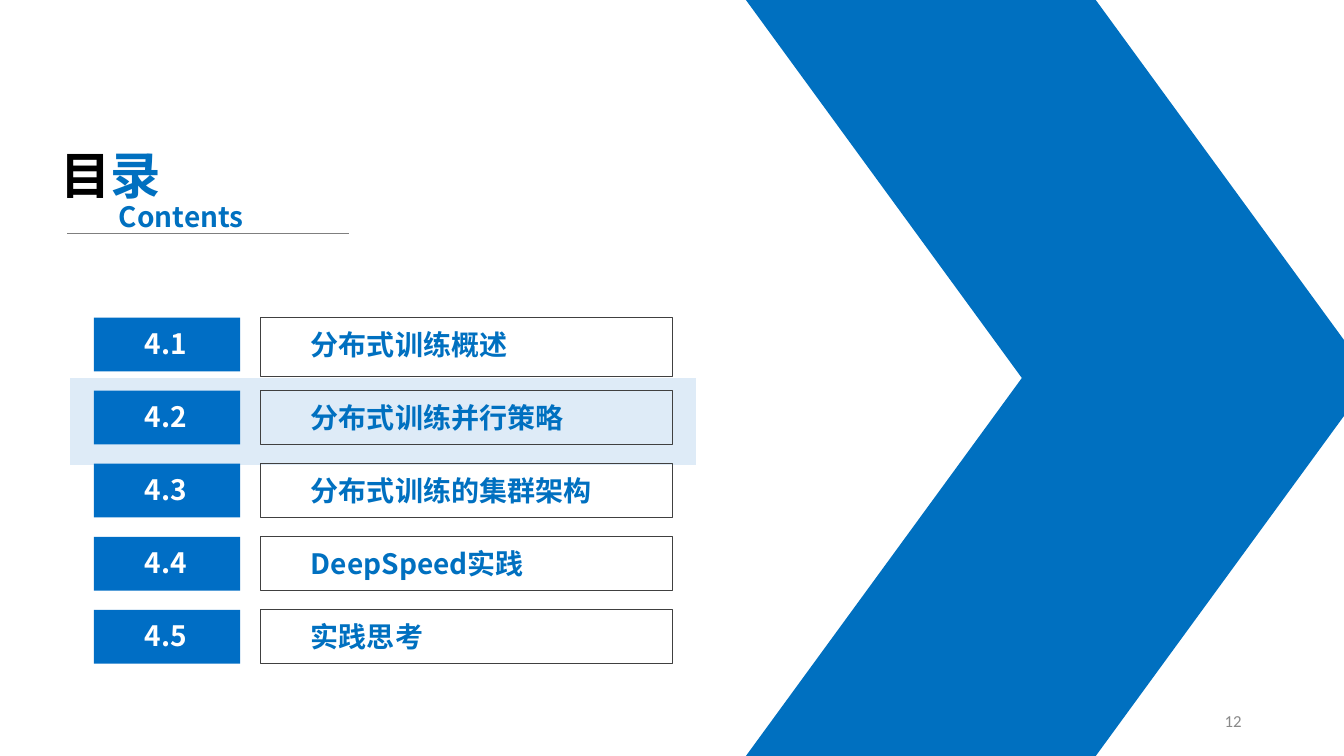
"""Build the contents slide of chapter 4, with section 4.2 highlighted."""
from pptx import Presentation
from pptx.dml.color import RGBColor
from pptx.enum import shapes, text
from pptx.oxml import ns, xmlchemy
from pptx.util import Pt

COLORS = {"blue": "0070C0", "badge": "006EC5", "highlight": "DEEBF7", "frame": "404040",
          "rule": "7F7F7F", "number": "898989", "black": "000000", "white": "FFFFFF"}
FONT = "Noto Sans CJK SC"
SECTIONS = ["分布式训练概述", "分布式训练并行策略", "分布式训练的集群架构", "DeepSpeed实践", "实践思考"]

presentation = Presentation()
presentation.slide_width, presentation.slide_height = Pt(960), Pt(540)
slide = presentation.slides.add_slide(presentation.slide_layouts[5])


def add_block(kind, left, top, width, height, fill=None, line=None):
    block = slide.shapes.add_shape(kind, Pt(left), Pt(top), Pt(width), Pt(height))
    block.shadow.inherit = False
    if fill:
        block.fill.solid()
        block.fill.fore_color.rgb = RGBColor.from_string(COLORS[fill])
    else:
        block.fill.background()
    if line:
        block.line.color.rgb = RGBColor.from_string(COLORS[line])
        block.line.width = Pt(0.75)
    else:
        block.line.fill.background()
    return block


def write(holder, box, words, size, align, bold=True, font=FONT, anchor=text.MSO_ANCHOR.TOP):
    holder.left, holder.top, holder.width, holder.height = map(Pt, box)
    frame = holder.text_frame
    frame.word_wrap = True
    frame.auto_size = text.MSO_AUTO_SIZE.NONE
    frame.vertical_anchor = anchor
    paragraph = frame.paragraphs[0]
    paragraph.alignment = align
    paragraph.font.size = Pt(size)
    paragraph.font.bold = bold
    paragraph.font.name = font
    east_asian = xmlchemy.OxmlElement("a:ea")
    east_asian.set("typeface", font)
    paragraph._p.pPr.find(ns.qn("a:defRPr")).append(east_asian)
    for part, color in words:
        run = paragraph.add_run()
        run.text = part
        run.font.color.rgb = RGBColor.from_string(COLORS[color])


RECT = shapes.MSO_SHAPE.RECTANGLE
LEFT, CENTER, RIGHT = text.PP_ALIGN.LEFT, text.PP_ALIGN.CENTER, text.PP_ALIGN.RIGHT

add_block(RECT, 50, 270, 447, 62, "highlight")
for top in (270, 0):
    chevron_half = add_block(shapes.MSO_SHAPE.PARALLELOGRAM, 532.8, top, 447, 270, "blue")
    chevron_half.adjustments[0] = 0.73
    if top == 0:
        chevron_half._element.spPr.xfrm.set("flipV", "1")

write(slide.shapes.title, (36, 99.4, 113, 51), [("目", "black"), ("录", "blue")], 36, LEFT)
subtitle = slide.shapes.add_textbox(0, 0, 0, 0)
write(subtitle, (77.8, 139, 113, 31.5), [("Contents", "blue")], 20, LEFT)
rule = slide.shapes.add_connector(shapes.MSO_CONNECTOR.STRAIGHT,
                                  Pt(48), Pt(166.5), Pt(249), Pt(166.5))
rule.line.color.rgb = RGBColor.from_string(COLORS["rule"])
rule.line.width = Pt(0.5)
rule._element.spPr.append(xmlchemy.OxmlElement("a:effectLst"))

for index, section in enumerate(SECTIONS):
    top = 226.8 + 52.2 * index
    add_block(RECT, 186.2, top, 294, 42 if index == 0 else 38.4, line="frame")
    heading = slide.shapes.add_textbox(0, 0, 0, 0)
    write(heading, (215, top + 3.6, 243, 31.5), [(section, "blue")], 20, LEFT)
    add_block(RECT, 67, top, 104.6, 38.4, "badge")
    badge = slide.shapes.add_textbox(0, 0, 0, 0)
    write(badge, (80.6, top + 2.9, 75.6, 31.5), [(f"4.{index + 1}", "white")], 20, CENTER)

page_number = slide.shapes.add_textbox(0, 0, 0, 0)
write(page_number, (678, 500.5, 216, 28.8), [("12", "number")], 12, RIGHT,
      bold=False, font="Calibri", anchor=text.MSO_ANCHOR.MIDDLE)

presentation.save("out.pptx")
